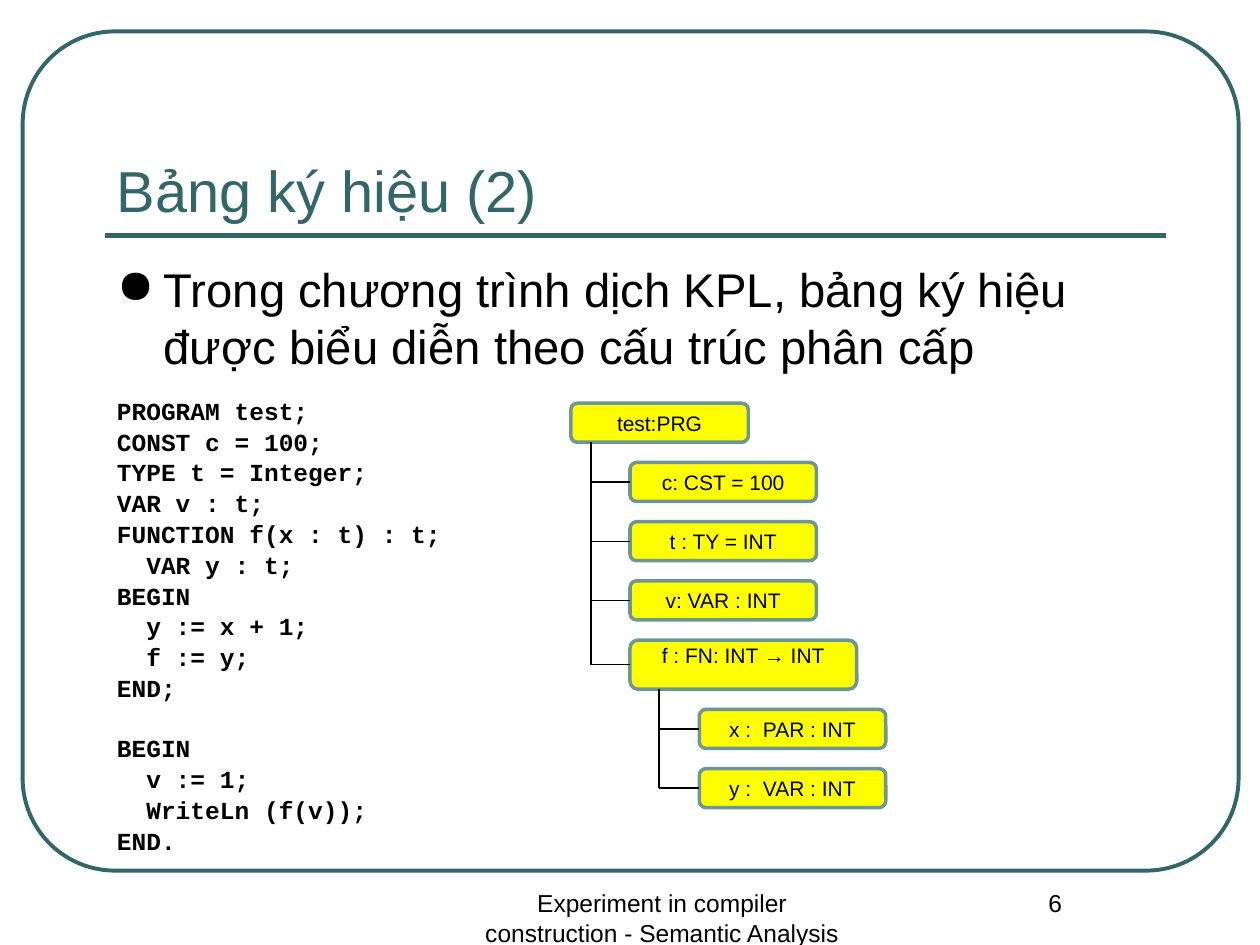
"""Build the slide about the hierarchical symbol table of a KPL program."""
from lxml import etree
from pptx import Presentation
from pptx import util as u
from pptx.dml.color import RGBColor
from pptx.enum import shapes, text
from pptx.oxml.ns import qn

TEAL = RGBColor(0x33, 0x66, 0x66)
NODE_LINE = RGBColor(0x6E, 0x96, 0x95)
YELLOW = RGBColor(0xFF, 0xFF, 0x00)
BLACK = RGBColor(0, 0, 0)

NODE_HEIGHT = 0.31
NODE_GAP = 0.16
CODE = """PROGRAM test;
CONST c = 100;
TYPE t = Integer;
VAR v : t;
FUNCTION f(x : t) : t;
  VAR y : t;
BEGIN
  y := x + 1;
  f := y;
END;

BEGIN
  v := 1;
  WriteLn (f(v));
END."""


def style(paragraph, size, color=BLACK, name="Arial", bold=False):
    paragraph.font.size = u.Pt(size)
    paragraph.font.color.rgb = color
    paragraph.font.name = name
    paragraph.font.bold = bold


def add_text(slide, left, top, width, height, wording, size, color=BLACK,
             align=text.PP_ALIGN.LEFT, anchor=text.MSO_ANCHOR.TOP):
    box = slide.shapes.add_textbox(*map(u.Inches, (left, top, width, height)))
    frame = box.text_frame
    frame.word_wrap = True
    frame.vertical_anchor = anchor
    paragraph = frame.paragraphs[0]
    paragraph.text = wording
    paragraph.alignment = align
    style(paragraph, size, color)
    return paragraph


def add_bullet(paragraph, indent):
    properties = paragraph._p.get_or_add_pPr()
    properties.set("marL", str(u.Inches(indent)))
    properties.set("indent", str(-u.Inches(indent)))
    bullet = etree.Element(qn("a:buChar"), char="●")
    properties.insert(0, bullet)


def add_code(slide, left, top, width, height):
    box = slide.shapes.add_textbox(*map(u.Inches, (left, top, width, height)))
    frame = box.text_frame
    frame.word_wrap = True
    for block_index, block in enumerate(CODE.split("\n\n")):
        for line_index, line in enumerate(block.split("\n")):
            first = block_index == line_index == 0
            paragraph = frame.paragraphs[0] if first else frame.add_paragraph()
            paragraph.text = line
            paragraph.line_spacing = 0.84
            if not first:
                new_block = line_index == 0
                paragraph.space_before = u.Pt(20.3 if new_block else 3.5)
            style(paragraph, 14, name="Courier New", bold=True)


def add_rounded(slide, left, top, width, height, radius, color, weight):
    shape = slide.shapes.add_shape(shapes.MSO_SHAPE.ROUNDED_RECTANGLE,
                                   *map(u.Inches, (left, top, width, height)))
    shape.shadow.inherit = False
    shape.adjustments[0] = radius
    shape.fill.background()
    shape.line.color.rgb = color
    shape.line.width = u.Pt(weight)
    return shape


def add_node(slide, left, top, width, label, height=NODE_HEIGHT):
    node = add_rounded(slide, left, top, width, height, 0.167, NODE_LINE, 2)
    node.fill.solid()
    node.fill.fore_color.rgb = YELLOW
    frame = node.text_frame
    frame.vertical_anchor = text.MSO_ANCHOR.MIDDLE
    paragraph = frame.paragraphs[0]
    paragraph.text = label
    paragraph.alignment = text.PP_ALIGN.CENTER
    style(paragraph, 12)
    return node


def add_line(slide, start, end, color=BLACK, weight=0.75):
    line = slide.shapes.add_connector(shapes.MSO_CONNECTOR.STRAIGHT, *start, *end)
    line.line.color.rgb = color
    line.line.width = u.Pt(weight)
    etree.SubElement(line._element.spPr, qn("a:effectLst"))
    return line


def add_branches(slide, parent, children, trunk):
    """Draw a trunk down from the parent and a branch to each child."""
    x = u.Inches(trunk)
    middles = [child.top + child.height // 2 for child in children]
    add_line(slide, (x, parent.top + parent.height), (x, middles[-1]))
    for child, middle in zip(children, middles):
        branch = add_line(slide, (x, middle), (child.left, middle))
        branch.end_connect(child, 1)


def add_symbol_tree(slide):
    pitch = NODE_HEIGHT + NODE_GAP
    top = 3.2
    program = add_node(slide, 4.53, top, 1.41, "test:PRG")
    members = []
    for label in ("c: CST = 100", "t : TY = INT", "v: VAR : INT"):
        top += pitch
        members.append(add_node(slide, 5, top, 1.48, label))

    top += pitch
    function_height = 0.39
    function = add_node(slide, 5, top, 1.8, "f : FN: INT → INT", function_height)
    function.text_frame.vertical_anchor = text.MSO_ANCHOR.TOP
    function.text_frame.margin_top = 0
    members.append(function)

    top += function_height + NODE_GAP
    local_symbols = [add_node(slide, 5.55, top + row * pitch, 1.48, label)
                     for row, label in enumerate(("x :  PAR : INT", "y :  VAR : INT"))]
    add_branches(slide, program, members, 4.69)
    add_branches(slide, function, local_symbols, 5.23)


def main():
    presentation = Presentation()
    presentation.slide_width = u.Inches(10)
    presentation.slide_height = u.Inches(7.5)
    slide = presentation.slides.add_slide(presentation.slide_layouts[6])

    add_rounded(slide, 0.18, 0.25, 9.65, 6.66, 0.11, TEAL, 2.25)
    rule_y = u.Inches(1.87)
    add_line(slide, (u.Inches(0.83), rule_y), (u.Inches(9.25), rule_y), TEAL, 3)
    center = text.PP_ALIGN.CENTER
    add_text(slide, 3.67, 7, 3.17, 0.5,
             "Experiment in compiler construction - Semantic Analysis", 14, align=center)
    add_text(slide, 7.5, 7, 1.75, 0.5, "6", 14, align=center)
    add_text(slide, 0.83, 0.58, 8.42, 1.25, "Bảng ký hiệu (2)", 33, TEAL,
             anchor=text.MSO_ANCHOR.BOTTOM)
    statement = add_text(
        slide, 0.83, 2.02, 8.42, 1.1,
        "Trong chương trình dịch KPL, bảng ký hiệu được biểu diễn theo cấu trúc phân cấp", 27)
    add_bullet(statement, 0.37)
    add_code(slide, 0.83, 3.13, 4.1, 3.79)
    add_symbol_tree(slide)
    presentation.save("out.pptx")


if __name__ == "__main__":
    main()
